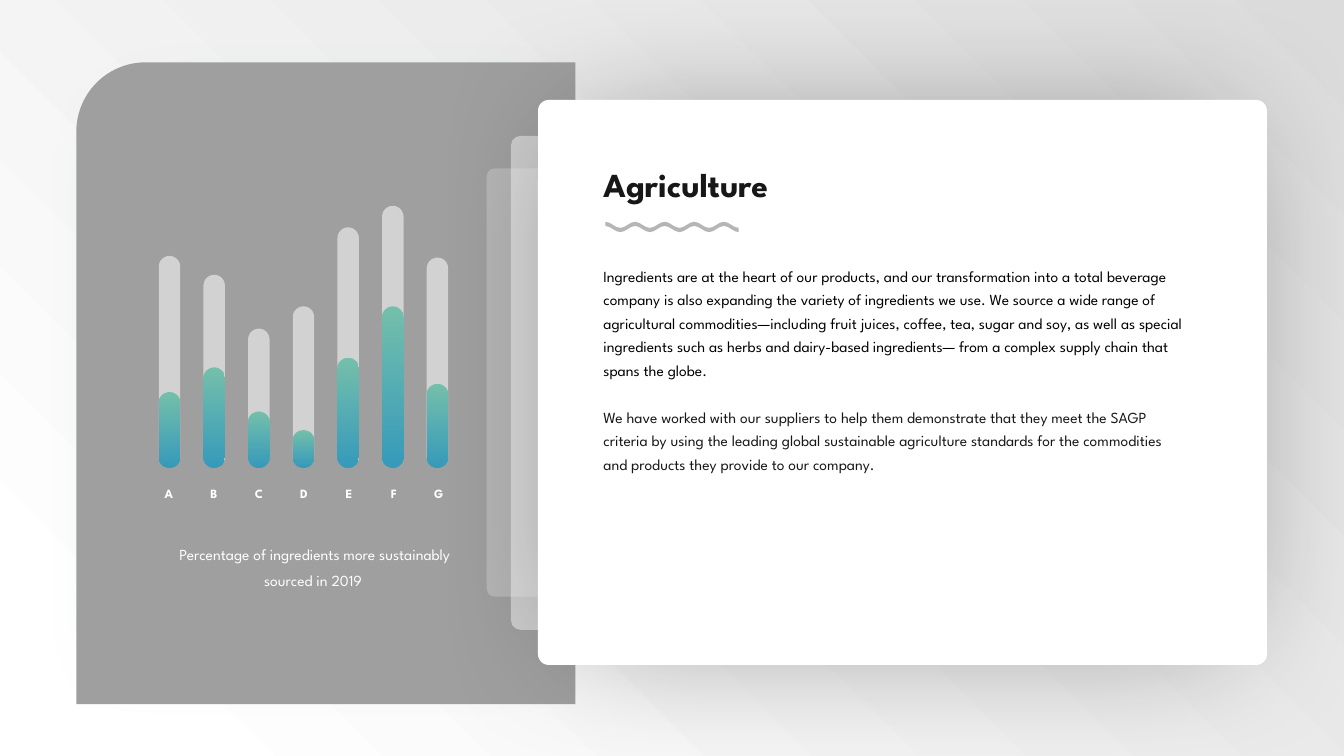
from lxml.etree import SubElement
from pptx import Presentation
from pptx.dml.color import RGBColor
from pptx.enum.shapes import MSO_SHAPE
from pptx.enum.text import MSO_ANCHOR, MSO_AUTO_SIZE, PP_ALIGN
from pptx.oxml.ns import qn
from pptx.util import Pt

WHITE = RGBColor(0xFF, 0xFF, 0xFF)
BLACK = RGBColor(0x00, 0x00, 0x00)
INK = RGBColor(0x18, 0x17, 0x17)
PANEL_GREY = RGBColor(0x9F, 0x9F, 0xA0)
BACKDROP_GREY = RGBColor(0xDB, 0xDB, 0xDB)
TRACK_GREY = RGBColor(0xD5, 0xD5, 0xD5)
WAVE_GREY = RGBColor(0xB5, 0xB5, 0xB5)
BAR_GREEN = RGBColor(0x74, 0xBF, 0xAB)
BAR_BLUE = RGBColor(0x36, 0x9A, 0xBA)
SHADOW_GREEN = RGBColor(0x1D, 0x9A, 0x78)

FONT = "League Spartan"
BARS = {
    "A": (151.2, 54),
    "B": (137.7, 71.6),
    "C": (99.3, 40.1),
    "D": (115.2, 26.8),
    "E": (171.6, 78.5),
    "F": (187, 115.2),
    "G": (150, 59.8),
}
FIRST_CENTRE, BAR_PITCH, BAR_WIDTH, BASELINE = 121.1, 31.9, 15.3, 334
FIRST_LETTER, LETTER_PITCH = 120.7, 32.13
AGRICULTURE = [
    ("Ingredients are at the heart of our products, and our transformation into a total "
     "beverage company is also expanding the variety of ingredients we use. We source a "
     "wide range of agricultural commodities—including fruit juices, coffee, tea, sugar and "
     "soy, as well as special ingredients such as herbs and dairy-based ingredients— from a "
     "complex supply chain that spans the globe.", BLACK, 0),
    ("We have worked with our suppliers to help them demonstrate that they meet the SAGP "
     "criteria by using the leading global sustainable agriculture standards for the "
     "commodities and products they provide to our company.", INK, 16.8),
]


def apply(target, values):
    for name, value in values.items():
        setattr(target, name, value)


def paint_gradient(fill, start, end, end_position=1.0):
    fill.gradient()
    for stop, colour, position in zip(fill.gradient_stops, (start, end), (0, end_position)):
        stop.color.rgb = colour
        stop.position = position


def paint_background(slide):
    paint_gradient(slide.background.fill, BACKDROP_GREY, WHITE, 0.92)
    gradient = slide.element.find(".//" + qn("a:gradFill"))
    gradient.remove(gradient.find(qn("a:lin")))
    circle = SubElement(gradient, qn("a:path"), {"path": "circle"})
    SubElement(circle, qn("a:fillToRect"), {"l": "100000", "b": "100000"})


def add_block(shapes, kind, box, colour, radius, opacity=100):
    block = shapes.add_shape(kind, *map(Pt, box))
    block.shadow.inherit = False
    block.adjustments[0] = radius
    block.line.fill.background()
    block.fill.solid()
    block.fill.fore_color.rgb = colour
    if opacity < 100:
        tint = block.element.spPr.find(".//" + qn("a:srgbClr"))
        SubElement(tint, qn("a:alpha"), {"val": str(opacity * 1000)})
    return block


def add_shadow(block, colour, opacity, blur, distance, angle, scale, anchor):
    effects = block.element.spPr.find(qn("a:effectLst"))
    shadow = SubElement(effects, qn("a:outerShdw"), {
        "blurRad": str(Pt(blur)), "dist": str(Pt(distance)), "dir": str(angle * 60000),
        "sx": str(scale * 1000), "sy": str(scale * 1000),
        "algn": anchor, "rotWithShape": "0"})
    tint = SubElement(shadow, qn("a:srgbClr"), {"val": str(colour)})
    SubElement(tint, qn("a:alpha"), {"val": str(opacity * 1000)})


def add_cards(shapes):
    panel = add_block(shapes, MSO_SHAPE.ROUND_1_RECTANGLE, (54.5, 44.5, 356.5, 458.5),
                      PANEL_GREY, 0.139)
    panel.element.spPr.find(qn("a:xfrm")).set("flipH", "1")
    add_shadow(panel, SHADOW_GREEN, 15, 54, 31, 90, 85, "t")
    for box, opacity in (((347.6, 120.2, 395.3, 306), 24),
                         ((365, 97.1, 455, 352.8), 48),
                         ((384.3, 71.4, 520.7, 403.6), 100)):
        card = add_block(shapes, MSO_SHAPE.ROUNDED_RECTANGLE, box, WHITE, 0.019, opacity)
    add_shadow(card, BLACK, 40, 100, 0, 0, 90, "ctr")


def write(frame, paragraphs, font, layout, margins=(7.2, 3.6, 7.2, 3.6)):
    apply(frame, {"word_wrap": True, "auto_size": MSO_AUTO_SIZE.NONE,
                  "vertical_anchor": MSO_ANCHOR.TOP})
    sides = ("margin_left", "margin_top", "margin_right", "margin_bottom")
    apply(frame, dict(zip(sides, map(Pt, margins))))
    for index, (words, colour, gap) in enumerate(paragraphs):
        paragraph = frame.add_paragraph() if index else frame.paragraphs[0]
        properties = paragraph._p.get_or_add_pPr()
        properties.set("marL", "0")
        properties.set("indent", "0")
        SubElement(properties, qn("a:buNone"))
        apply(paragraph, {"text": words, "space_before": Pt(gap), **layout})
        apply(paragraph.font, {"name": FONT, **font})
        paragraph.font.color.rgb = colour


def add_label(shapes, box, words, font, layout):
    label = shapes.add_textbox(*map(Pt, box))
    write(label.text_frame, [(words, WHITE, 0)], font, layout)


def add_bars(shapes):
    columns = shapes.add_group_shape().shapes
    letters = shapes.add_group_shape().shapes
    for index, (letter, (full, share)) in enumerate(BARS.items()):
        left = FIRST_CENTRE + index * BAR_PITCH - BAR_WIDTH / 2
        for height, opacity in ((full, 96), (share, 100)):
            box = (left, BASELINE - height, BAR_WIDTH, height)
            bar = add_block(columns, MSO_SHAPE.ROUNDED_RECTANGLE, box, TRACK_GREY, 0.5, opacity)
        paint_gradient(bar.fill, BAR_GREEN, BAR_BLUE)
        bar.fill.gradient_angle = 270
        add_label(letters, (FIRST_LETTER + index * LETTER_PITCH - 17, 343.2, 34, 18), letter,
                  {"size": Pt(9), "bold": True}, {"alignment": PP_ALIGN.CENTER})


def round_crests(wave):
    outline = wave.element.spPr.find(".//" + qn("a:path"))
    x, y = 0, 0
    for step in list(outline):
        point = step.find(qn("a:pt"))
        if point is None:
            continue
        next_x, next_y = int(point.get("x")), int(point.get("y"))
        if step.tag == qn("a:lnTo") and next_x != x:
            reach = round((next_x - x) * 0.36)
            curve = SubElement(outline, qn("a:cubicBezTo"))
            for px, py in ((x + reach, y), (next_x - reach, next_y), (next_x, next_y)):
                SubElement(curve, qn("a:pt"), {"x": str(px), "y": str(py)})
            outline.replace(step, curve)
        x, y = next_x, next_y


def add_wave(shapes, left=432.5, top=158.4, half_wave=10.57, swing=4.4, thickness=3):
    crests = [(left + half_wave * turn, top + swing * (turn % 2)) for turn in range(10)]
    underside = [(x, y + thickness) for x, y in reversed(crests)]
    outline = [(Pt(x), Pt(y)) for x, y in crests + underside]
    builder = shapes.build_freeform(*outline[0], scale=1.0)
    builder.add_line_segments(outline[1:], close=True)
    wave = builder.convert_to_shape()
    round_crests(wave)
    wave.shadow.inherit = False
    wave.fill.solid()
    wave.fill.fore_color.rgb = WAVE_GREY
    wave.line.fill.background()


def fill_placeholder(slide, holder, box, paragraphs, font, layout, margins):
    slide.shapes.element.append(holder.element)
    apply(holder, dict(zip(("left", "top", "width", "height"), map(Pt, box))))
    write(holder.text_frame, paragraphs, font, layout, margins)


def main():
    deck = Presentation()
    apply(deck, {"slide_width": Pt(960), "slide_height": Pt(540)})
    slide = deck.slides.add_slide(deck.slide_layouts[1])
    paint_background(slide)
    add_cards(slide.shapes)
    add_bars(slide.shapes)
    add_label(slide.shapes, (108.7, 380.2, 232.6, 44),
              "Percentage of ingredients more sustainably sourced in 2019 ",
              {"size": Pt(11)}, {"alignment": PP_ALIGN.CENTER, "line_spacing": Pt(18.8)})
    fill_placeholder(slide, slide.placeholders[1], (429, 183.4, 427.7, 160), AGRICULTURE,
                     {"size": Pt(11)}, {"alignment": PP_ALIGN.LEFT, "line_spacing": Pt(16.8)},
                     (2, 3.6, 7.2, 3.6))
    fill_placeholder(slide, slide.shapes.title, (429, 115.2, 219, 33),
                     [("Agriculture", INK, 0)], {"size": Pt(24), "bold": True},
                     {"alignment": PP_ALIGN.LEFT}, (2, 2, 2, 2))
    add_wave(slide.shapes)
    deck.save("out.pptx")


if __name__ == "__main__":
    main()
